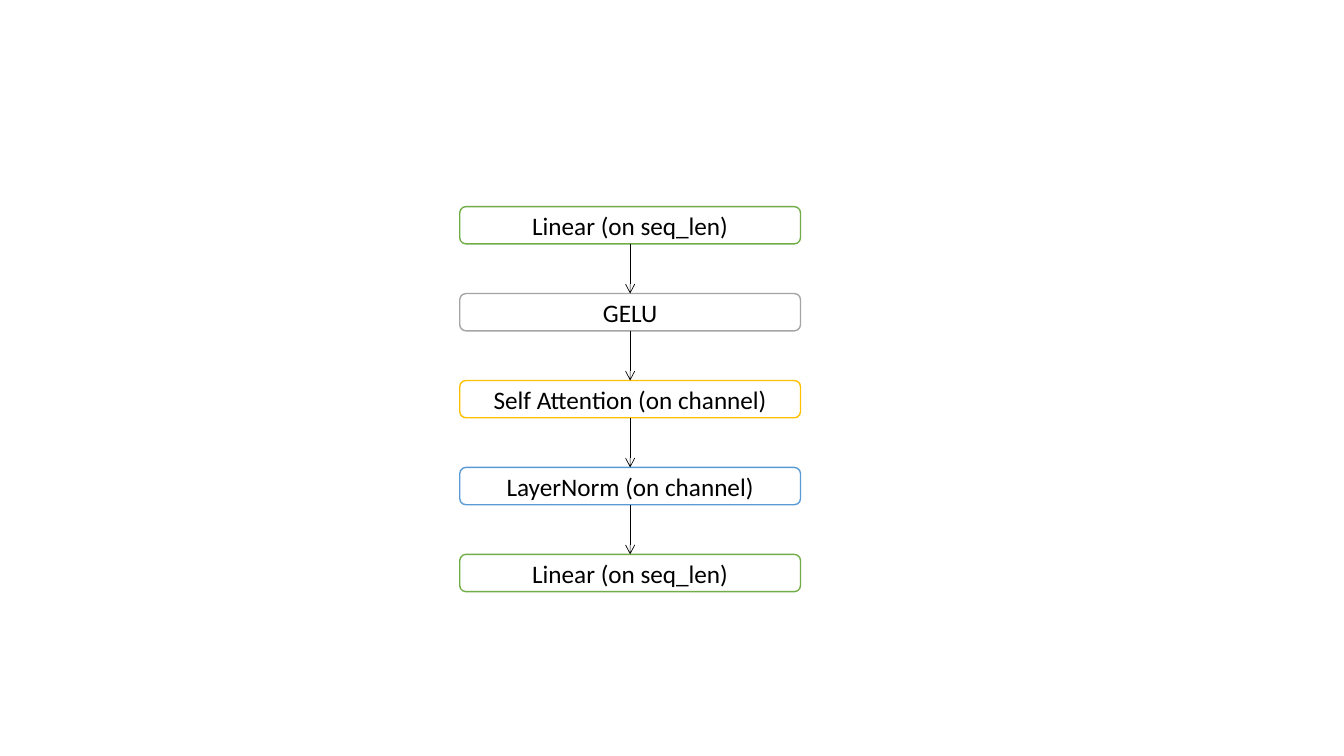
from itertools import pairwise
from typing import NamedTuple

from lxml import etree
from pptx import Presentation
from pptx.dml.color import RGBColor
from pptx.enum.shapes import MSO_CONNECTOR, MSO_SHAPE
from pptx.enum.text import MSO_ANCHOR, PP_ALIGN
from pptx.oxml.ns import qn
from pptx.shapes.autoshape import Shape
from pptx.shapes.connector import Connector
from pptx.slide import Slide
from pptx.util import Inches, Pt

ROUNDED = MSO_SHAPE.ROUNDED_RECTANGLE
STRAIGHT = MSO_CONNECTOR.STRAIGHT
MIDDLE = MSO_ANCHOR.MIDDLE
CENTER = PP_ALIGN.CENTER
BOTTOM_SITE, TOP_SITE = 2, 0

COLORS = {
    "linear": "70AD47",
    "activation": "A5A5A5",
    "attention": "FFC000",
    "norm": "5B9BD5",
    "paper": "FFFFFF",
    "ink": "000000",
}

# Column of layers: one row per layer, in inches
SLIDE_WIDTH, SLIDE_HEIGHT = 13.33, 7.5
COLUMN_LEFT, FIRST_ROW_TOP = 4.56, 2.05
LAYER_WIDTH, LAYER_HEIGHT = 3.38, 0.37
ROW_PITCH = 0.8625


class Layer(NamedTuple):
    label: str
    color: str


LAYERS = [
    Layer("Linear (on seq_len)", "linear"),
    Layer("GELU", "activation"),
    Layer("Self Attention (on channel)", "attention"),
    Layer("LayerNorm (on channel)", "norm"),
    Layer("Linear (on seq_len)", "linear"),
]


def rgb(name: str) -> RGBColor:
    return RGBColor.from_string(COLORS[name])


def draw_layer(slide: Slide, layer: Layer, row: int) -> Shape:
    box = slide.shapes.add_shape(
        ROUNDED,
        Inches(COLUMN_LEFT),
        Inches(FIRST_ROW_TOP + row * ROW_PITCH),
        Inches(LAYER_WIDTH),
        Inches(LAYER_HEIGHT),
    )
    box.shadow.inherit = False
    box.fill.solid()
    box.fill.fore_color.rgb = rgb("paper")
    box.line.color.rgb = rgb(layer.color)
    box.line.width = Pt(1)

    box.text_frame.vertical_anchor = MIDDLE
    label = box.text_frame.paragraphs[0]
    label.text = layer.label
    label.alignment = CENTER
    label.font.name = "Calibri"
    label.font.size = Pt(18)
    label.font.color.rgb = rgb("ink")
    return box


def draw_flow(slide: Slide, source: Shape, target: Shape) -> Connector:
    flow = slide.shapes.add_connector(STRAIGHT, 0, 0, 0, 0)
    flow.begin_connect(source, BOTTOM_SITE)
    flow.end_connect(target, TOP_SITE)
    flow.line.color.rgb = rgb("ink")
    flow.line.width = Pt(0.5)
    # Open arrowhead, no shadow
    etree.SubElement(flow.line._get_or_add_ln(), qn("a:tailEnd"), type="arrow")
    etree.SubElement(flow._element.spPr, qn("a:effectLst"))
    return flow


presentation = Presentation()
presentation.slide_width = Inches(SLIDE_WIDTH)
presentation.slide_height = Inches(SLIDE_HEIGHT)
slide = presentation.slides.add_slide(presentation.slide_layouts[6])

# Layers from top to bottom
boxes = [draw_layer(slide, layer, row) for row, layer in enumerate(LAYERS)]

# Arrows between neighbouring layers
for upper, lower in pairwise(boxes):
    draw_flow(slide, upper, lower)

presentation.save("out.pptx")
